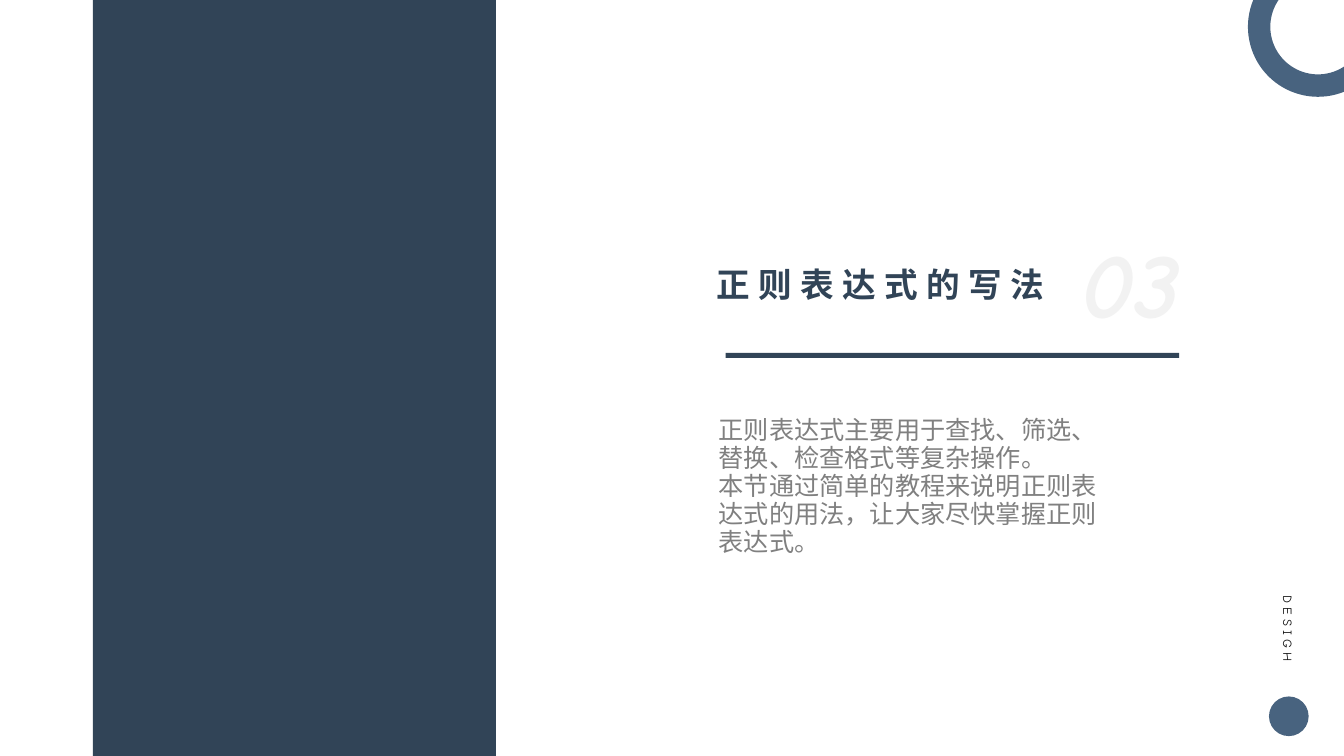
import pptx
import pptx.dml.color
import pptx.enum.shapes
import pptx.enum.text
import pptx.oxml.ns
import pptx.util
from lxml import etree

Cm, Pt = pptx.util.Cm, pptx.util.Pt
SHAPE = pptx.enum.shapes.MSO_SHAPE
ALIGN = pptx.enum.text.PP_ALIGN
ANCHOR = pptx.enum.text.MSO_ANCHOR
qn = pptx.oxml.ns.qn


def rgb(hex_code):
    return pptx.dml.color.RGBColor.from_string(hex_code)


class SectionSlide:
    NAVY, STEEL, GREY = "314457", "48637F", "808080"
    PALE, INK = "F2F2F2", "0D0D0D"
    CHINESE, LATIN = "Noto Sans CJK SC", "Comic Neue"

    def __init__(self, deck):
        self.slide = deck.slides.add_slide(deck.slide_layouts[1])

    def block(self, kind, left, top, width, height, color):
        block = self.slide.shapes.add_shape(kind, Cm(left), Cm(top), Cm(width), Cm(height))
        block.shadow.inherit = False
        block.fill.solid()
        block.fill.fore_color.rgb = rgb(color)
        block.line.fill.background()
        return block

    def set_text(self, holder, lines, font, size, color, bold=False, italic=False,
                 align=ALIGN.LEFT, anchor=ANCHOR.MIDDLE, tracking=0, leading=None, wrap=True):
        """Fill a text holder with unbulleted paragraphs; tracking and leading are in points."""
        frame = holder.text_frame
        frame.text = "\n".join(lines)
        frame.word_wrap = wrap
        frame.auto_size = pptx.enum.text.MSO_AUTO_SIZE.NONE
        frame.vertical_anchor = anchor
        for paragraph in frame.paragraphs:
            paragraph.alignment = align
            paragraph.space_before = Pt(0)
            if leading:
                paragraph.line_spacing = Pt(leading)
            paragraph.font.name = font
            paragraph.font.size = Pt(size)
            paragraph.font.bold = bold
            paragraph.font.italic = italic
            paragraph.font.color.rgb = rgb(color)
            properties = paragraph._p.get_or_add_pPr()
            properties.set("marL", "0")
            properties.set("indent", "0")
            defaults = properties.find(qn("a:defRPr"))
            defaults.addprevious(etree.Element(qn("a:buNone")))
            for run in paragraph.runs:
                character = run._r.get_or_add_rPr()
                character.attrib.update(defaults.attrib)
                character.set("spc", str(tracking * 100))
                run.font.color.rgb = rgb(color)
                run.font.name = font
                etree.SubElement(character, qn("a:ea")).set("typeface", font)

    def place(self, holder, left, top, width, height):
        holder.left, holder.top = Cm(left), Cm(top)
        holder.width, holder.height = Cm(width), Cm(height)

    def title(self, text, *box):
        heading = self.slide.shapes.title
        self.place(heading, *box)
        self.set_text(heading, [text], self.CHINESE, 24, self.NAVY, bold=True, tracking=6)

    def body(self, lines, *box):
        summary = self.slide.placeholders[1]
        self.place(summary, *box)
        self.set_text(summary, lines, self.CHINESE, 18, self.GREY, anchor=ANCHOR.TOP, leading=20)

    def label(self, text, left, top, width, height, size, color, **style):
        label = self.slide.shapes.add_textbox(Cm(left), Cm(top), Cm(width), Cm(height))
        self.set_text(label, [text], self.LATIN, size, color, wrap=False, **style)
        return label


def main():
    deck = pptx.Presentation()
    deck.slide_width, deck.slide_height = Cm(33.87), Cm(19.05)
    section = SectionSlide(deck)

    section.block(SHAPE.RECTANGLE, 2.34, 0, 10.16, 19.05, section.NAVY)
    side_word = section.label("DESIGH", 31.32, 15.47, 2.29, 0.64, 9, section.INK,
                              align=ALIGN.RIGHT, tracking=3)
    side_word.rotation = 90
    section.block(SHAPE.OVAL, 31.98, 17.55, 1, 1, section.STEEL)
    ring = section.block(SHAPE.DONUT, 31.45, -1.09, 3.53, 3.53, section.STEEL)
    ring.adjustments[0] = 0.16

    section.label("03", 26.5, 5.6, 4, 3, 66, section.PALE,
                  bold=True, italic=True, align=ALIGN.CENTER)
    section.title("正则表达式的写法", 17.81, 6.65, 12.62, 1.02)
    section.body(["正则表达式主要用于查找、筛选、替换、检查格式等复杂操作。",
                  "本节通过简单的教程来说明正则表达式的用法，让大家尽快掌握正则表达式。"],
                 17.86, 10.36, 10.36, 3.81)
    section.block(SHAPE.RECTANGLE, 18.29, 8.89, 11.43, 0.13, section.NAVY)

    deck.save("out.pptx")


if __name__ == "__main__":
    main()
